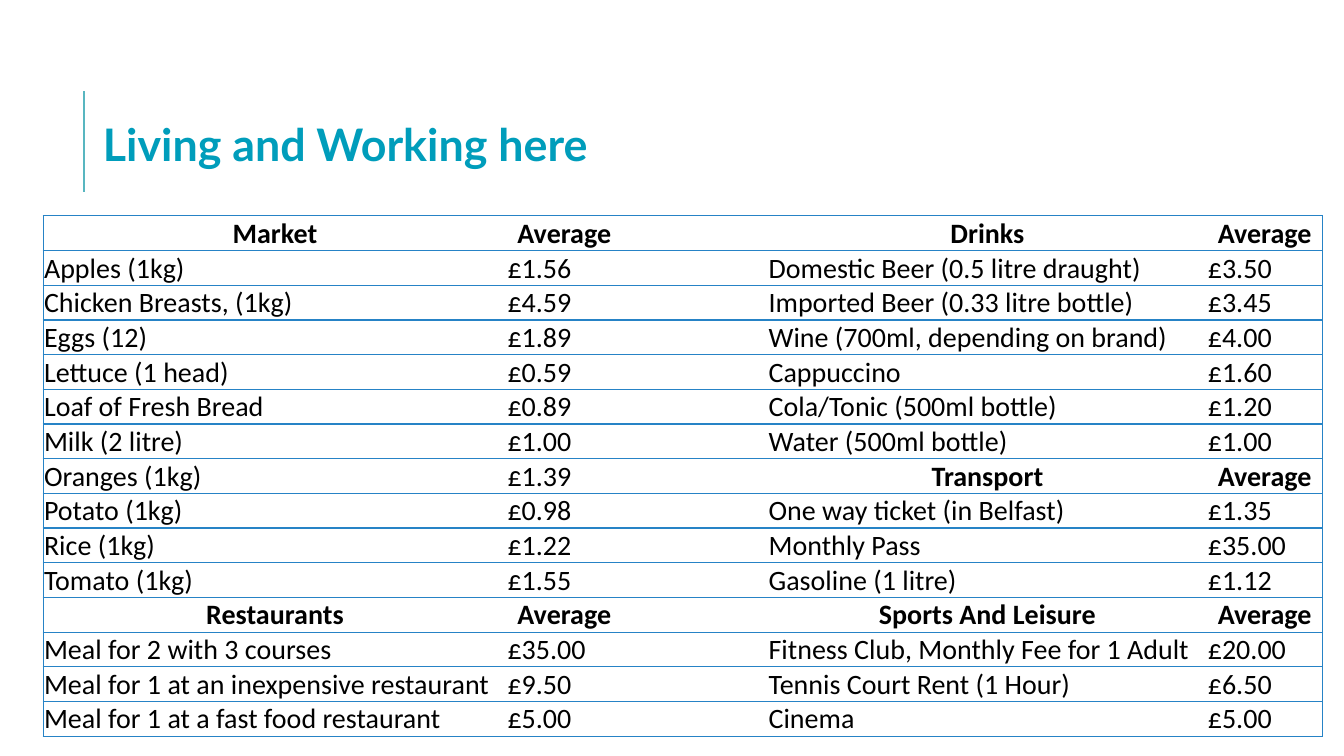
from typing import NamedTuple

from lxml import etree
from pptx import Presentation
from pptx import util as u
from pptx.dml.color import RGBColor
from pptx.enum import shapes, text
from pptx.oxml import ns

TEAL, TITLE_BLUE, RULE_BLUE = "58B6C0", "009DBB", "2683C6"
BLACK, WHITE = "000000", "FFFFFF"
HEADING = "Average"
ROW_HEIGHT = u.Cm(0.874)
COLUMN_WIDTHS = [11.68, 2.9, 3.68, 11.07, 2.9]


class Entry(NamedTuple):
    item: str
    price: str = HEADING


SHOPPING_AND_MEALS = [
    Entry("Market"),
    Entry("Apples (1kg)", "£1.56"),
    Entry("Chicken Breasts, (1kg)", "£4.59"),
    Entry("Eggs (12)", "£1.89"),
    Entry("Lettuce (1 head)", "£0.59"),
    Entry("Loaf of Fresh Bread", "£0.89"),
    Entry("Milk (2 litre)", "£1.00"),
    Entry("Oranges (1kg)", "£1.39"),
    Entry("Potato (1kg)", "£0.98"),
    Entry("Rice (1kg)", "£1.22"),
    Entry("Tomato (1kg)", "£1.55"),
    Entry("Restaurants"),
    Entry("Meal for 2 with 3 courses", "£35.00"),
    Entry("Meal for 1 at an inexpensive restaurant", "£9.50"),
    Entry("Meal for 1 at a fast food restaurant", "£5.00"),
]
DRINKS_AND_OUTINGS = [
    Entry("Drinks"),
    Entry("Domestic Beer (0.5 litre draught)", "£3.50"),
    Entry("Imported Beer (0.33 litre bottle)", "£3.45"),
    Entry("Wine (700ml, depending on brand)", "£4.00"),
    Entry("Cappuccino", "£1.60"),
    Entry("Cola/Tonic (500ml bottle)", "£1.20"),
    Entry("Water (500ml bottle)", "£1.00"),
    Entry("Transport"),
    Entry("One way ticket (in Belfast)", "£1.35"),
    Entry("Monthly Pass", "£35.00"),
    Entry("Gasoline (1 litre)", "£1.12"),
    Entry("Sports And Leisure"),
    Entry("Fitness Club, Monthly Fee for 1 Adult", "£20.00"),
    Entry("Tennis Court Rent (1 Hour)", "£6.50"),
    Entry("Cinema", "£5.00"),
]


def colour(value: str) -> RGBColor:
    return RGBColor.from_string(value)


def set_font(font, name: str, size: int, value: str, bold: bool) -> None:
    font.name, font.size, font.bold = name, u.Pt(size), bold
    font.color.rgb = colour(value)


def set_borders(cell, ruled_sides: str) -> None:
    """Rule the given sides (L, R, T, B) and clear the others."""
    properties = cell._tc.get_or_add_tcPr()
    for position, side in enumerate("LRTB"):
        border = etree.Element(ns.qn(f"a:ln{side}"), w=str(u.Pt(1)))
        if side in ruled_sides:
            fill = etree.SubElement(border, ns.qn("a:solidFill"))
            etree.SubElement(fill, ns.qn("a:srgbClr"), val=RULE_BLUE)
        else:
            etree.SubElement(border, ns.qn("a:noFill"))
        properties.insert(position, border)


def format_cell(cell, ruled_sides: str) -> None:
    cell.margin_left = cell.margin_right = cell.margin_top = u.Cm(0.02)
    cell.margin_bottom = 0
    cell.vertical_anchor = text.MSO_ANCHOR.BOTTOM
    cell.fill.solid()
    cell.fill.fore_color.rgb = colour(WHITE)
    set_borders(cell, ruled_sides)


def write_entry(item_cell, price_cell, entry: Entry) -> None:
    is_heading = entry.price == HEADING
    for cell, words in zip((item_cell, price_cell), entry):
        cell.text = words
        paragraph = cell.text_frame.paragraphs[0]
        paragraph.alignment = text.PP_ALIGN.CENTER if is_heading else text.PP_ALIGN.LEFT
        set_font(paragraph.font, "Calibri", 20, BLACK, is_heading)


def add_title(slide) -> None:
    accent = slide.shapes.add_connector(
        shapes.MSO_CONNECTOR.STRAIGHT, u.Cm(2.11), u.Cm(4.83), u.Cm(2.11), u.Cm(2.29))
    accent.line.color.rgb = colour(TEAL)
    accent.line.width = u.Pt(1.5)
    etree.SubElement(accent._element.spPr, ns.qn("a:effectLst"))

    title = slide.shapes.title
    title.left, title.top = u.Cm(2.34), u.Cm(2.82)
    title.width, title.height = u.Cm(13.77), u.Cm(1.63)
    frame = title.text_frame
    frame.text = "Living and Working here"
    frame.word_wrap = True
    frame.auto_size = text.MSO_AUTO_SIZE.SHAPE_TO_FIT_TEXT
    frame.vertical_anchor = text.MSO_ANCHOR.TOP
    frame.paragraphs[0].alignment = text.PP_ALIGN.LEFT
    set_font(frame.paragraphs[0].font, "Lato", 32, TITLE_BLUE, True)


def add_price_table(slide) -> None:
    row_count, column_count = len(SHOPPING_AND_MEALS), len(COLUMN_WIDTHS)
    prices = slide.shapes.add_table(
        row_count, column_count, u.Cm(1.09), u.Cm(5.44),
        u.Cm(sum(COLUMN_WIDTHS)), ROW_HEIGHT * row_count).table
    prices.first_row = prices.horz_banding = False
    for column, width in zip(prices.columns, COLUMN_WIDTHS):
        column.width = u.Cm(width)

    outer_sides = {0: "L", column_count - 1: "R"}
    for row, left, right in zip(prices.rows, SHOPPING_AND_MEALS, DRINKS_AND_OUTINGS):
        row.height = ROW_HEIGHT
        cells = list(row.cells)
        for index, cell in enumerate(cells):
            format_cell(cell, "TB" + outer_sides.get(index, ""))
        write_entry(cells[0], cells[1], left)
        write_entry(cells[3], cells[4], right)


def main() -> None:
    deck = Presentation()
    deck.slide_width, deck.slide_height = u.Cm(33.87), u.Cm(19.05)
    slide = deck.slides.add_slide(deck.slide_layouts[5])  # title only
    add_title(slide)
    add_price_table(slide)
    deck.save("out.pptx")


if __name__ == "__main__":
    main()
